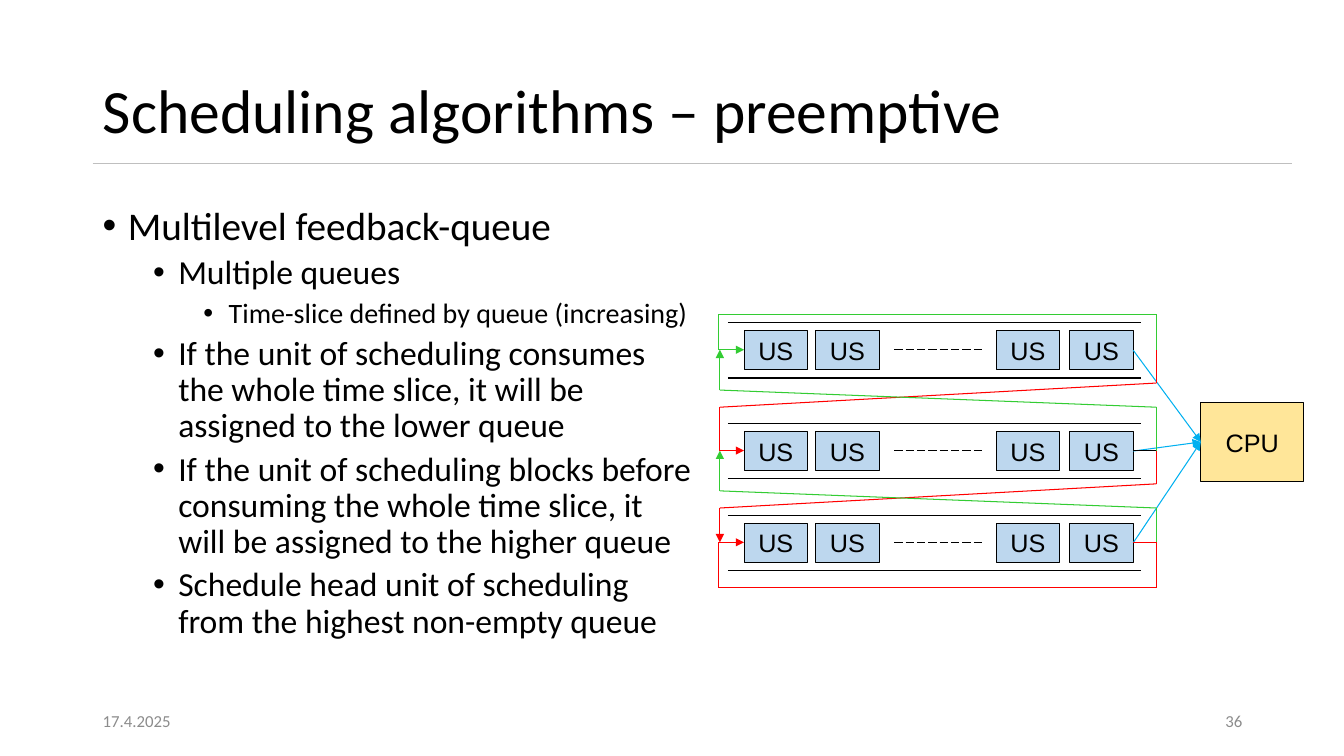
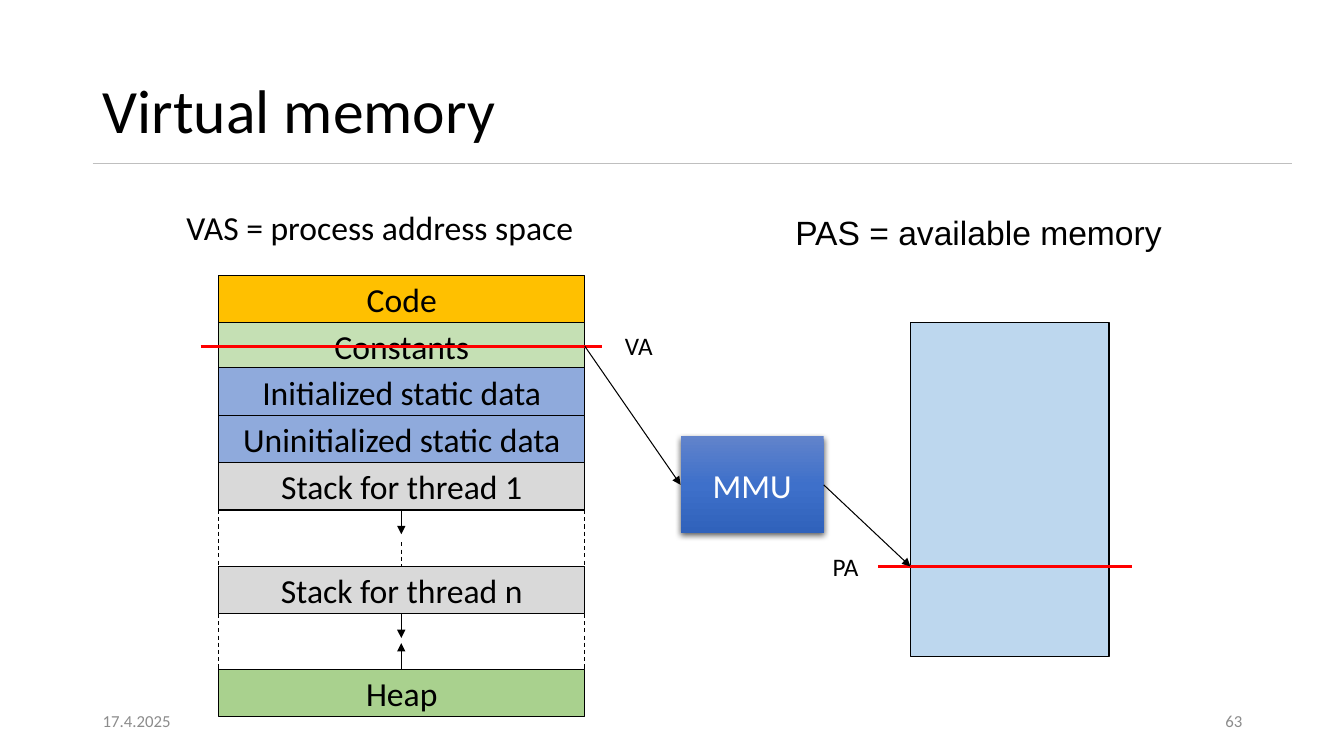
from copy import deepcopy
from dataclasses import dataclass
from itertools import pairwise

from lxml.etree import SubElement
from pptx import Presentation
from pptx.dml.color import RGBColor
from pptx.enum.dml import MSO_LINE
from pptx.enum.shapes import MSO_CONNECTOR, MSO_SHAPE
from pptx.enum.text import MSO_ANCHOR, PP_ALIGN
from pptx.oxml.ns import qn
from pptx.util import Inches, Pt


@dataclass(frozen=True)
class Theme:
    ink: str = "000000"
    white: str = "FFFFFF"
    rule: str = "BFBFBF"
    muted: str = "8C8C8C"
    unit: str = "BDD7EE"
    cpu: str = "FFE699"
    red: str = "FF0000"
    green: str = "33CC33"
    cyan: str = "00B0F0"
    code: str = "FFC000"
    const: str = "C5E0B4"
    static: str = "8FAADC"
    stack: str = "D9D9D9"
    heap: str = "A9D18E"
    shades: tuple = ((0, "6183CB"), (0.5, "3E70CA"), (1, "3062BB"))
    main: str = "Calibri"
    alt: str = "Arial"
    title: int = 44
    levels: tuple = (28, 24, 20)
    large: int = 24
    label: int = 18
    small: int = 12
    thin: float = 0.75
    thick: float = 2.25


theme = Theme()


def box(slide, text, area, fill=None, size=theme.large, name=theme.main,
        color=theme.ink, align=PP_ALIGN.CENTER, anchor=MSO_ANCHOR.MIDDLE, wrap=False):
    """Add an outlined rectangle, or a plain text box when there is no fill."""
    place = [Inches(v) for v in area]
    if fill:
        shape = slide.shapes.add_shape(MSO_SHAPE.RECTANGLE, *place)
        shape.shadow.inherit = False
        shape.fill.solid()
        shape.fill.fore_color.rgb = RGBColor.from_string(fill)
        shape.line.color.rgb = RGBColor.from_string(theme.ink)
        shape.line.width = Pt(theme.thin)
    else:
        shape = slide.shapes.add_textbox(*place)
    frame = shape.text_frame
    frame.text = text
    frame.word_wrap = wrap
    frame.vertical_anchor = anchor
    for para in frame.paragraphs:
        para.alignment = align
        for run in para.runs:
            for key, value in {"size": Pt(size), "name": name}.items():
                setattr(run.font, key, value)
            run.font.color.rgb = RGBColor.from_string(color)
    return shape


def link(slide, points, color=theme.ink, width=theme.thin, arrow=False, dash=None):
    """Join the points with straight connectors and return the last one."""
    for start, end in pairwise(points):
        line = slide.shapes.add_connector(
            MSO_CONNECTOR.STRAIGHT, *[Inches(v) for v in (*start, *end)])
        line.line.color.rgb = RGBColor.from_string(color)
        line.line.width = Pt(width)
        if dash:
            line.line.dash_style = dash
        SubElement(line.element.spPr, qn("a:effectLst"))
    if arrow:
        SubElement(line.element.spPr.find(qn("a:ln")), qn("a:tailEnd"), type="triangle")
    return line


deck = Presentation()
deck.slide_width, deck.slide_height = Inches(13.33), Inches(7.5)

# Shared title, rule and footer
pages = []
for title, number in (("Scheduling algorithms – preemptive", "36"), ("Virtual memory", "63")):
    page = deck.slides.add_slide(deck.slide_layouts[5])
    head = page.shapes.title
    for key, value in {"left": 0.92, "top": 0.4, "width": 10.63, "height": 1.45}.items():
        setattr(head, key, Inches(value))
    head.text_frame.text = title
    head.text_frame.vertical_anchor = MSO_ANCHOR.MIDDLE
    para = head.text_frame.paragraphs[0]
    para.alignment, para.line_spacing = PP_ALIGN.LEFT, 0.9
    font = para.runs[0].font
    for key, value in {"size": Pt(theme.title), "name": theme.main}.items():
        setattr(font, key, value)
    font.color.rgb = RGBColor.from_string(theme.ink)
    link(page, [(0.92, 1.62), (12.81, 1.62)], theme.rule)
    for text, left, align in (("17.4.2025", 0.92, PP_ALIGN.LEFT), (number, 9.42, PP_ALIGN.RIGHT)):
        box(page, text, (left, 6.95, 3, 0.4), size=theme.small, color=theme.muted,
            align=align, wrap=True)
    pages.append(page)
queues, memory = pages

# Scheduling: bullets
points = (
    (0, "Multilevel feedback-queue"),
    (1, "Multiple queues"),
    (2, "Time-slice defined by queue (increasing)"),
    (1, "If the unit of scheduling consumes the whole time slice, "
        "it will be assigned to the lower queue"),
    (1, "If the unit of scheduling blocks before consuming the whole time slice, "
        "it will be assigned to the higher queue"),
    (1, "Schedule head unit of scheduling from the highest non-empty queue"),
)
body = box(queues, "\n".join(text for _, text in points), (0.92, 2, 6.07, 4.76),
           align=PP_ALIGN.LEFT, anchor=MSO_ANCHOR.TOP, wrap=True)
for para, (level, _) in zip(body.text_frame.paragraphs, points):
    para.level, para.line_spacing = level, 0.9
    para.space_before = Pt(5 if level else 0)
    props = para._p.get_or_add_pPr()
    props.set("marL", str(Inches(0.25 + 0.5 * level)))
    props.set("indent", str(Inches(-0.25)))
    SubElement(props, qn("a:buFont"), typeface=theme.alt)
    SubElement(props, qn("a:buChar"), char="•")
    para.runs[0].font.size = Pt(theme.levels[level])

# Scheduling: queues and processor
cpu = box(queues, "CPU", (11.91, 3.99, 1.02, 0.79), theme.cpu, theme.label, theme.alt)
rows = (3.47, 4.47, 5.38)
west, east, entry, leave = 7.14, 11.47, 7.38, 11.24
for row in rows:
    for edge in (row - 0.27, row + 0.28):
        link(queues, [(7.22, edge), (11.32, edge)])
    for left in (entry, 8.09, 9.88, 10.61):
        unit = box(queues, "US", (left, row - 0.19, 0.63, 0.39), theme.unit,
                   theme.label, theme.alt)
    link(queues, [(8.87, row), (9.74, row)], dash=MSO_LINE.LONG_DASH)
    feed = link(queues, [(leave, row), (11.91, 4.39)], theme.cyan, arrow=True)
    feed.begin_connect(unit, 3)
    feed.end_connect(cpu, 1)

# Scheduling: moves between neighbouring queues and loops at both ends
first, middle, last = rows
link(queues, [(leave, middle), (east, middle)])
link(queues, [(leave, last), (east, last)], theme.red)
for upper, lower in pairwise(rows):
    down = [(east, upper), (east, upper + 0.33), (west, upper + 0.57), (west, lower)]
    if lower == middle:
        down.append((entry, lower))
    link(queues, down, theme.red, arrow=True)
    link(queues, [(east, lower), (east, upper + 0.57), (west, upper + 0.4), (west, upper)],
         theme.green, arrow=True)
for row, turn, color in ((last, 5.83, theme.red), (first, 3.12, theme.green)):
    link(queues, [(east, row), (east, turn), (7.13, turn), (7.13, row), (entry, row)],
         color, arrow=True)

# Virtual memory: process address space
left, right, centre = 2.17, 5.8, 3.98
parts = {}
for text, top, fill in (
    ("Code", 2.73, theme.code),
    ("Constants", 3.2, theme.const),
    ("Initialized static data", 3.65, theme.static),
    ("Uninitialized static data", 4.12, theme.static),
    ("Stack for thread 1", 4.59, theme.stack),
    ("Stack for thread n", 5.62, theme.stack),
    ("Heap", 6.64, theme.heap),
):
    parts[text] = box(memory, text, (left, top, right - left, 0.47), fill)
for top in (5.06, 6.09):
    for side in (left, right):
        link(memory, [(side, top), (side, top + 0.55)], dash=MSO_LINE.DASH)
    link(memory, [(centre, top), (centre, top + 0.24)], arrow=True)
link(memory, [(centre, 6.64), (centre, 6.38)], arrow=True)
link(memory, [(centre, 5.38), (centre, 5.62)], dash=MSO_LINE.DASH)

# Virtual memory: translation to available memory
mmu = box(memory, "MMU", (6.75, 4.33, 1.42, 0.96), theme.static, color=theme.white)
mmu.line.fill.background()
mmu.fill.gradient()
mmu.fill.gradient_angle = 270
stops = mmu.element.spPr.find(".//" + qn("a:gsLst"))
stops.append(deepcopy(stops[0]))
for stop, (place, color) in zip(mmu.fill.gradient_stops, theme.shades):
    stop.position = place
    stop.color.rgb = RGBColor.from_string(color)
shade = SubElement(mmu.element.spPr.find(qn("a:effectLst")), qn("a:outerShdw"),
                   blurRad=str(Pt(4.5)), dist=str(Pt(1.5)), dir="5400000", rotWithShape="0")
tint = SubElement(shade, qn("a:srgbClr"), val=theme.ink)
SubElement(tint, qn("a:alpha"), val="63000")

box(memory, "", (9.03, 3.2, 1.97, 3.31), theme.unit)
for start, end, level in ((1.99, 5.97, 3.44), (8.71, 11.23, 5.62)):
    link(memory, [(start, level), (end, level)], theme.red, theme.thick)
ask = link(memory, [(right, 3.43), (6.75, 4.81)], arrow=True)
ask.begin_connect(parts["Constants"], 3)
ask.end_connect(mmu, 1)
reply = link(memory, [(8.17, 4.81), (9.03, 5.62)], arrow=True)
reply.begin_connect(mmu, 3)

for text, area, size, name in (
    ("VAS = process address space", (1.75, 2, 4.08, 0.5), theme.large, theme.main),
    ("PAS = available memory", (7.79, 2.05, 3.87, 0.5), theme.large, theme.alt),
    ("VA", (6.1, 3.23, 0.48, 0.4), theme.label, theme.main),
    ("PA", (8.16, 5.42, 0.46, 0.4), theme.label, theme.main),
):
    box(memory, text, area, size=size, name=name, align=PP_ALIGN.LEFT)

deck.save("out.pptx")
